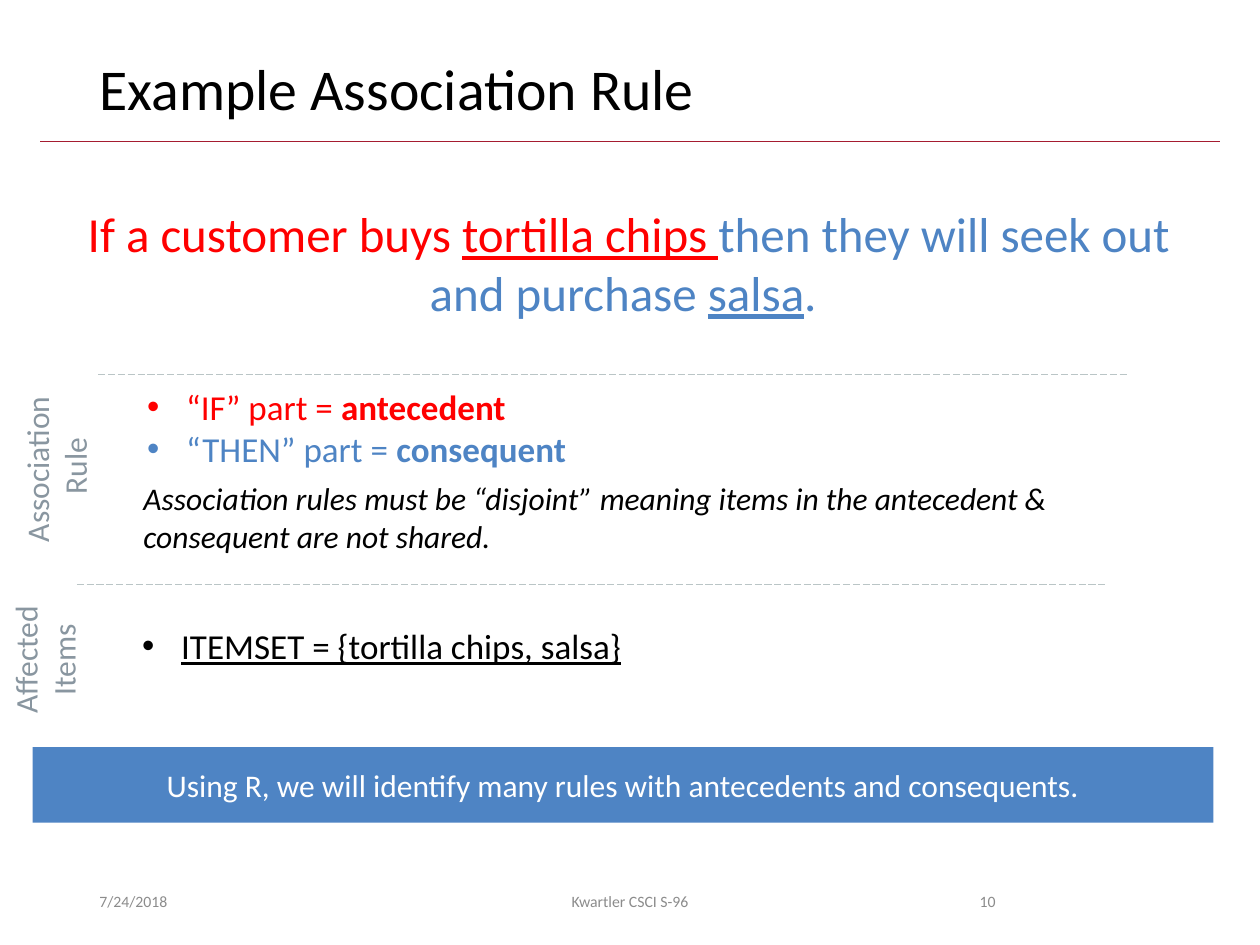
from dataclasses import dataclass
from typing import Any

from lxml.etree import SubElement
from pptx import Presentation
from pptx.dml.color import RGBColor
from pptx.enum.dml import MSO_LINE_DASH_STYLE as Dash
from pptx.enum.shapes import MSO_CONNECTOR as Connector, MSO_SHAPE as Shape
from pptx.enum.text import MSO_ANCHOR as Anchor, MSO_AUTO_SIZE as AutoSize, PP_ALIGN as Align
from pptx.oxml.ns import qn
from pptx.util import Inches, Pt

COLUMNS, ROWS = 100, 75
WIDTH, HEIGHT = Inches(10), Inches(7.5)
FONT = "Calibri"
INDENT = Inches(0.31)
COLOURS = {
    "ink": "000000",
    "white": "FFFFFF",
    "footer": "8C8C8C",
    "label": "8996A0",
    "antecedent": "FF0000",
    "consequent": "4E84C4",
    "rule": "A51C30",
    "divider": "BAC5C6",
}


@dataclass(frozen=True)
class Span:
    text: str
    colour: str = "ink"
    bold: bool = False
    italic: bool = False
    underline: bool = False


@dataclass(frozen=True)
class Block:
    left: float
    top: float
    width: float
    height: float
    size: float
    paras: list[list[Span]]
    align: Align = Align.LEFT
    anchor: Anchor = Anchor.TOP
    spacing: float = 1.0
    rotation: float = 0
    wrap: bool = True
    grow: bool = False
    bullet: bool = False
    fill: str = ""


@dataclass(frozen=True)
class Divider:
    left: float
    row: float
    width: float
    colour: str = "divider"
    dash: Dash | None = Dash.LONG_DASH


def column(count: float) -> int:
    return round(WIDTH * count / COLUMNS)


def row(count: float) -> int:
    return round(HEIGHT * count / ROWS)


def colour_of(name: str) -> RGBColor:
    return RGBColor.from_string(COLOURS[name])


def apply(target: Any, values: dict[str, Any]) -> None:
    for name, value in values.items():
        setattr(target, name, value)


def add_bullet(para: Any) -> None:
    properties = para._p.get_or_add_pPr()
    properties.set("marL", str(INDENT))
    properties.set("indent", str(-INDENT))
    SubElement(properties, qn("a:buFont"), typeface="Arial")
    SubElement(properties, qn("a:buChar"), char="•")


def add_span(para: Any, span: Span, size: float) -> None:
    run = para.add_run()
    run.text = span.text
    apply(run.font, {
        "name": FONT,
        "size": Pt(size),
        "bold": span.bold,
        "italic": span.italic,
        "underline": span.underline,
    })
    run.font.color.rgb = colour_of(span.colour)


def add_block(page: Any, block: Block) -> None:
    place = column(block.left), row(block.top), column(block.width), row(block.height)
    if block.fill:
        box = page.shapes.add_shape(Shape.RECTANGLE, *place)
        box.shadow.inherit = False
        box.fill.solid()
        box.fill.fore_color.rgb = colour_of(block.fill)
        box.line.fill.background()
    else:
        box = page.shapes.add_textbox(*place)
    box.rotation = block.rotation
    frame = box.text_frame
    apply(frame, {
        "word_wrap": block.wrap,
        "auto_size": AutoSize.SHAPE_TO_FIT_TEXT if block.grow else AutoSize.NONE,
        "vertical_anchor": block.anchor,
    })
    for index, spans in enumerate(block.paras):
        para = frame.add_paragraph() if index else frame.paragraphs[0]
        apply(para, {"alignment": block.align, "line_spacing": block.spacing})
        if block.bullet:
            add_bullet(para)
        for span in spans:
            add_span(para, span, block.size)


def add_divider(page: Any, divider: Divider) -> None:
    start, end = column(divider.left), column(divider.left + divider.width)
    level = row(divider.row)
    line = page.shapes.add_connector(Connector.STRAIGHT, start, level, end, level)
    apply(line.line, {"width": Pt(0.5), "dash_style": divider.dash})
    line.line.color.rgb = colour_of(divider.colour)
    SubElement(line._element.spPr, qn("a:effectLst"))


def footer(left: float, width: float, text: str, align: Align) -> Block:
    return Block(left, 69.5, width, 4, 9, [[Span(text, "footer")]], align, Anchor.MIDDLE)


def side_label(left: float, top: float, width: float, lines: list[str]) -> Block:
    paras = [[Span(line, "label")] for line in lines]
    return Block(left, top, width, 7.1, 18, paras, Align.CENTER,
                 rotation=270, wrap=False, grow=True)


DIVIDERS = [
    Divider(3.2, 11.2, 93.6, "rule", None),
    Divider(7.8, 29.7, 81.8),
    Divider(6.1, 46.4, 81.8),
]

BLOCKS = [
    Block(6.9, 4, 86.2, 6.5, 33, [[Span("Example Association Rule")]],
          anchor=Anchor.MIDDLE, spacing=0.9),
    Block(2.6, 15.7, 94.6, 10.4, 28, [[
        Span("If a customer buys ", "antecedent"),
        Span("tortilla chips ", "antecedent", underline=True),
        Span("then they will seek out and purchase ", "consequent"),
        Span("salsa", "consequent", underline=True),
        Span(". ", "consequent"),
    ]], Align.CENTER, grow=True),
    Block(10.7, 30.1, 50, 7.7, 20, [
        [Span("“IF” part = ", "antecedent"), Span("antecedent", "antecedent", bold=True)],
        [Span("“THEN” part = ", "consequent"), Span("consequent", "consequent", bold=True)],
    ], grow=True, bullet=True),
    Block(10.4, 37.5, 85.4, 7.1, 18, [[Span(
        "Association rules must be “disjoint” meaning items in the antecedent & "
        "consequent are not shared.", italic=True)]], grow=True),
    Block(10.3, 49.1, 40.7, 4.4, 20,
          [[Span("ITEMSET = {tortilla chips, salsa}", underline=True)]],
          wrap=False, grow=True, bullet=True),
    side_label(-2.4, 33.7, 13.7, ["Association", " Rule"]),
    side_label(-1.8, 48.8, 10.7, ["Affected", "Items"]),
    Block(2.6, 59.3, 93.7, 6, 18, [[Span(
        "Using R, we will identify many rules with antecedents and consequents.", "white")]],
        Align.CENTER, Anchor.MIDDLE, fill="consequent"),
    footer(6.9, 22.5, "7/24/2018", Align.LEFT),
    footer(33.1, 33.8, "Kwartler CSCI S-96", Align.CENTER),
    footer(70.6, 9.4, "10", Align.RIGHT),
]


def main() -> None:
    deck = Presentation()
    apply(deck, {"slide_width": WIDTH, "slide_height": HEIGHT})
    page = deck.slides.add_slide(deck.slide_layouts[6])
    for divider in DIVIDERS:
        add_divider(page, divider)
    for block in BLOCKS:
        add_block(page, block)
    deck.save("out.pptx")


if __name__ == "__main__":
    main()
